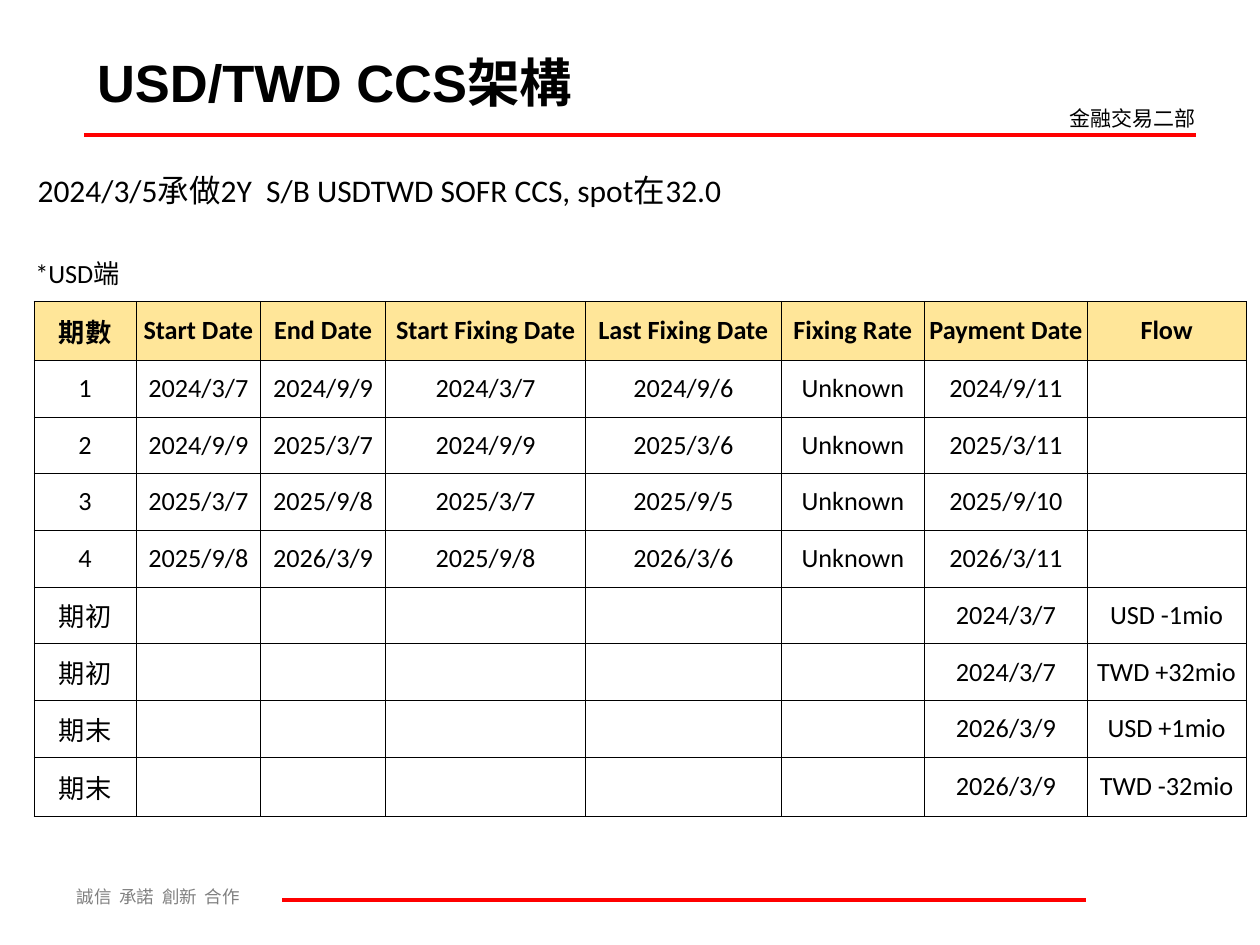
from dataclasses import dataclass

from lxml import etree
from pptx import Presentation
from pptx.dml.color import RGBColor
from pptx.enum.shapes import MSO_CONNECTOR
from pptx.enum.text import MSO_ANCHOR, MSO_AUTO_SIZE, PP_ALIGN
from pptx.oxml.ns import qn
from pptx.util import Inches, Pt

STRAIGHT = MSO_CONNECTOR.STRAIGHT
MIDDLE = MSO_ANCHOR.MIDDLE
LEFT, CENTER = PP_ALIGN.LEFT, PP_ALIGN.CENTER
FIXED, GROW = MSO_AUTO_SIZE.NONE, MSO_AUTO_SIZE.SHAPE_TO_FIT_TEXT
PLAIN_TABLE = "{2D5ABB26-0587-4C30-8999-92F81FD0307C}"

COLUMN_WIDTHS = [0.81, 0.99, 0.99, 1.59, 1.55, 1.14, 1.29, 1.26]
ROW_HEIGHTS = [0.45, 0.47, 0.47] + [0.45] * 7 + [0.47]
HEADER_ROW = 2
HEADINGS = ["期數", "Start Date", "End Date", "Start Fixing Date",
            "Last Fixing Date", "Fixing Rate", "Payment Date", "Flow"]
PERIODS = [
    ("2024/3/7", "2024/9/9", "2024/9/6", "2024/9/11"),
    ("2024/9/9", "2025/3/7", "2025/3/6", "2025/3/11"),
    ("2025/3/7", "2025/9/8", "2025/9/5", "2025/9/10"),
    ("2025/9/8", "2026/3/9", "2026/3/6", "2026/3/11"),
]
EXCHANGES = [
    ("期初", "2024/3/7", "USD -1mio"),
    ("期初", "2024/3/7", "TWD +32mio"),
    ("期末", "2026/3/9", "USD +1mio"),
    ("期末", "2026/3/9", "TWD -32mio"),
]


@dataclass(frozen=True)
class Theme:
    ink: str = "000000"
    muted: str = "808080"
    rule: str = "FF0000"
    header: str = "FFE699"
    heading_font: str = "Arial"
    body_font: str = "Calibri"
    brand_font: str = "Noto Sans CJK SC"
    cjk_font: str = "Noto Sans CJK TC"
    title: float = 30
    lead: float = 18
    table: float = 15
    department: float = 12
    motto: float = 10
    rule_width: float = 2.25
    border_width: float = 0.45


class SlideBuilder:
    """Draws styled elements on the current slide."""

    def __init__(self, slide, theme):
        self.slide = slide
        self.theme = theme

    def format_text(self, frame, size, color, latin, cjk, bold=False, align=LEFT):
        for paragraph in frame.paragraphs:
            paragraph.alignment = align
            for run in paragraph.runs:
                run.font.size = Pt(size)
                run.font.bold = bold
                run.font.color.rgb = RGBColor.from_string(color)
                run.font.name = latin
                east_asian = etree.Element(qn("a:ea"), typeface=cjk)
                run.font._element.find(qn("a:latin")).addnext(east_asian)

    def title(self, text, left, top, width, height):
        heading = self.slide.shapes.title
        heading.left, heading.top = Inches(left), Inches(top)
        heading.width, heading.height = Inches(width), Inches(height)
        frame = heading.text_frame
        frame.text = text
        frame.auto_size = FIXED
        frame.vertical_anchor = MIDDLE
        self.format_text(frame, self.theme.title, self.theme.ink,
                         self.theme.heading_font, self.theme.brand_font, bold=True)

    def text(self, text, left, top, width, height, size, color, latin, cjk, before=0):
        box = self.slide.shapes.add_textbox(
            Inches(left), Inches(top), Inches(width), Inches(height))
        frame = box.text_frame
        frame.text = text
        frame.word_wrap = True
        frame.auto_size = GROW
        frame.paragraphs[0].space_before = Pt(before)
        self.format_text(frame, size, color, latin, cjk)

    def rule(self, left, right, y):
        line = self.slide.shapes.add_connector(
            STRAIGHT, Inches(left), Inches(y), Inches(right), Inches(y))
        line.line.color.rgb = RGBColor.from_string(self.theme.rule)
        line.line.width = Pt(self.theme.rule_width)
        etree.SubElement(line._element.spPr, qn("a:effectLst"))

    def borders(self, cell, sides):
        properties = cell._tc.get_or_add_tcPr()
        for side in sides:
            edge = etree.SubElement(properties, qn(f"a:ln{side}"),
                                    w=str(Pt(self.theme.border_width)))
            fill = etree.SubElement(edge, qn("a:solidFill"))
            etree.SubElement(fill, qn("a:srgbClr"), val=self.theme.ink)

    def cell(self, cell, text, sides, align=CENTER, header=False):
        self.borders(cell, sides)
        if header:
            cell.fill.solid()
            cell.fill.fore_color.rgb = RGBColor.from_string(self.theme.header)
        else:
            cell.fill.background()
        cell.vertical_anchor = MIDDLE
        cell.margin_left = cell.margin_right = Inches(0.01)
        cell.text_frame.text = text
        self.format_text(cell.text_frame, self.theme.table, self.theme.ink,
                         self.theme.body_font, self.theme.cjk_font, header, align)

    def table(self, rows, left, top):
        table = self.slide.shapes.add_table(
            len(rows), len(COLUMN_WIDTHS), Inches(left), Inches(top),
            Inches(sum(COLUMN_WIDTHS)), Inches(sum(ROW_HEIGHTS))).table
        table._tbl.tblPr.find(qn("a:tableStyleId")).text = PLAIN_TABLE
        table.first_row = table.horz_banding = False
        for column, width in zip(table.columns, COLUMN_WIDTHS):
            column.width = Inches(width)
        for row, height in zip(table.rows, ROW_HEIGHTS):
            row.height = Inches(height)
        for r, values in enumerate(rows):
            sides = "LRTB" if r >= HEADER_ROW else "B" if r == HEADER_ROW - 1 else ""
            align = CENTER if r >= HEADER_ROW else LEFT
            for c, value in enumerate(values):
                self.cell(table.cell(r, c), value, sides, align, r == HEADER_ROW)
        table.cell(0, 0).merge(table.cell(0, 3))


def schedule_rows():
    blank = [""] * len(HEADINGS)
    rows = [blank, ["*USD端"] + blank[1:], HEADINGS]
    for number, (start, end, last_fixing, payment) in enumerate(PERIODS, 1):
        rows.append([str(number), start, end, start, last_fixing, "Unknown", payment, ""])
    for stage, payment, flow in EXCHANGES:
        rows.append([stage] + [""] * 5 + [payment, flow])
    return rows


def main():
    deck = Presentation()
    deck.slide_width, deck.slide_height = Inches(10), Inches(7.5)
    theme = Theme()
    builder = SlideBuilder(deck.slides.add_slide(deck.slide_layouts[5]), theme)
    builder.text("誠信  承諾  創新  合作", 0.51, 6.98, 2.52, 0.27, theme.motto,
                 theme.muted, theme.brand_font, theme.brand_font, before=6.2)
    builder.rule(0.67, 9.49, 1.07)
    builder.rule(2.24, 8.62, 7.14)
    builder.text("金融交易二部", 8.39, 0.79, 1.26, 0.3, theme.department,
                 theme.ink, theme.brand_font, theme.brand_font, before=7.5)
    builder.title("USD/TWD CCS架構", 0.67, 0.3, 7.32, 0.69)
    builder.table(schedule_rows(), 0.27, 1.47)
    builder.text("2024/3/5承做2Y  S/B USDTWD SOFR CCS, spot在32.0", 0.2, 1.31, 6.85, 0.4,
                 theme.lead, theme.ink, theme.body_font, theme.cjk_font)
    deck.save("out.pptx")


if __name__ == "__main__":
    main()
